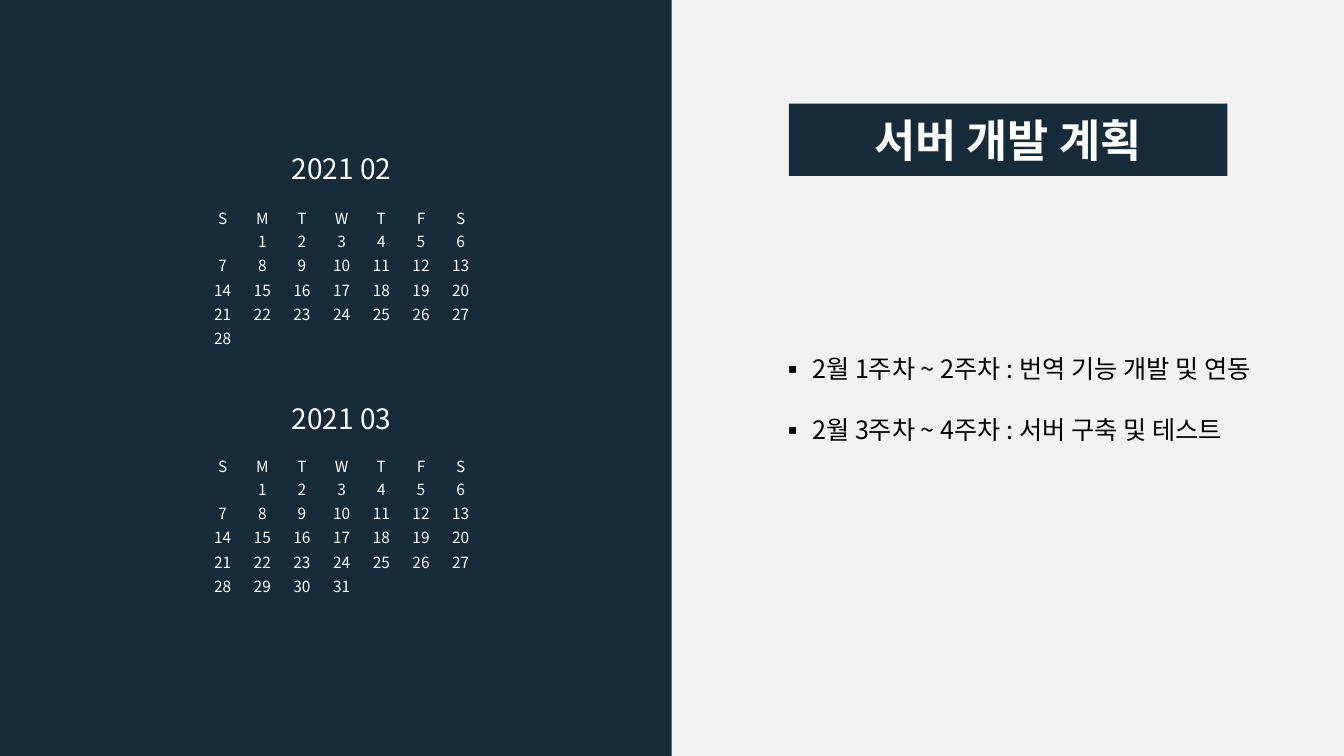
"""Build the server development plan slide with two month calendars."""
from lxml.etree import SubElement
from pptx import Presentation
from pptx.dml.color import RGBColor
from pptx.enum.shapes import MSO_SHAPE
from pptx.enum.text import MSO_ANCHOR, MSO_AUTO_SIZE, PP_ALIGN
from pptx.oxml.ns import qn
from pptx.util import Cm, Pt

NAVY = RGBColor(0x15, 0x2B, 0x39)
PALE = RGBColor(0xF2, 0xF2, 0xF2)
WHITE = RGBColor(0xFF, 0xFF, 0xFF)
BLACK = RGBColor(0x00, 0x00, 0x00)
FONT = "Noto Sans CJK KR"
NO_GRID_STYLE = "{2D5ABB26-0587-4C30-8999-92F81FD0307C}"


def add_text(paragraph, text, size, color, bold=False):
    run = paragraph.add_run()
    run.text = text
    run.font.size = Pt(size)
    run.font.bold = bold
    run.font.color.rgb = color
    run.font.name = FONT
    SubElement(run.font._element, qn("a:ea"), typeface=FONT)


deck = Presentation()
deck.slide_width, deck.slide_height = Cm(33.87), Cm(19.05)
slide = deck.slides.add_slide(deck.slide_layouts[5])
slide.background.fill.solid()
slide.background.fill.fore_color.rgb = PALE

calendar_panel = slide.shapes.add_shape(MSO_SHAPE.RECTANGLE, 0, 0, Cm(16.93), Cm(19.05))
calendar_panel.shadow.inherit = False
calendar_panel.fill.solid()
calendar_panel.fill.fore_color.rgb = NAVY
calendar_panel.line.fill.background()

title = slide.shapes.title
title.left, title.top, title.width, title.height = Cm(19.88), Cm(2.61), Cm(11.05), Cm(1.82)
title.fill.solid()
title.fill.fore_color.rgb = NAVY
title.text_frame.auto_size = MSO_AUTO_SIZE.NONE
title.text_frame.vertical_anchor = MSO_ANCHOR.MIDDLE
title.text_frame.paragraphs[0].alignment = PP_ALIGN.CENTER
add_text(title.text_frame.paragraphs[0], "서버 개발 계획", 32, WHITE, bold=True)

schedule = slide.shapes.add_textbox(Cm(19.43), Cm(8.79), Cm(13.67), Cm(2.57)).text_frame
schedule.word_wrap = True
for index, task in enumerate((
    "2월 1주차 ~ 2주차 : 번역 기능 개발 및 연동",
    "2월 3주차 ~ 4주차 : 서버 구축 및 테스트",
)):
    item = schedule.add_paragraph() if index else schedule.paragraphs[0]
    properties = item._p.get_or_add_pPr()
    properties.set("marL", str(Cm(0.79)))
    properties.set("indent", str(-Cm(0.79)))
    SubElement(properties, qn("a:buFont"), typeface=FONT)
    SubElement(properties, qn("a:buChar"), char="▪")
    if index:
        item.space_before = Pt(21.5)
    add_text(item, task, 18, BLACK)

for month, last_day, heading_top, grid_top in (
    ("2021 02", 28, 3.78, 5.16),
    ("2021 03", 31, 10.08, 11.4),
):
    heading = slide.shapes.add_textbox(Cm(5.11), Cm(heading_top), Cm(6.99), Cm(1.32)).text_frame
    heading.word_wrap = True
    heading.paragraphs[0].alignment = PP_ALIGN.CENTER
    heading.paragraphs[0].line_spacing = 0.9
    add_text(heading.paragraphs[0], month, 20, WHITE)

    frame = slide.shapes.add_table(7, 7, Cm(5.11), Cm(grid_top), Cm(6.99), Cm(4.24))
    calendar = frame.table
    calendar.first_row = calendar.horz_banding = False
    calendar._tbl.tblPr.find(qn("a:tableStyleId")).text = NO_GRID_STYLE
    for column in calendar.columns:
        column.width = Cm(1)
    for week, row in enumerate(calendar.rows):
        row.height = Cm(0.61 if week else 0.58)
        for weekday, cell in enumerate(row.cells):
            cell.fill.background()
            cell.vertical_anchor = MSO_ANCHOR.MIDDLE
            cell.margin_left = cell.margin_right = Cm(0.1)
            cell.margin_top = cell.margin_bottom = Cm(0.05)
            day_line = cell.text_frame.paragraphs[0]
            day_line.alignment = PP_ALIGN.CENTER
            day = (week - 1) * 7 + weekday
            if week == 0:
                add_text(day_line, "SMTWTFS"[weekday], 11, WHITE)
            elif 1 <= day <= last_day:
                add_text(day_line, str(day), 11, WHITE)
            else:
                SubElement(day_line._p, qn("a:endParaRPr"), sz="1100")

deck.save("out.pptx")
